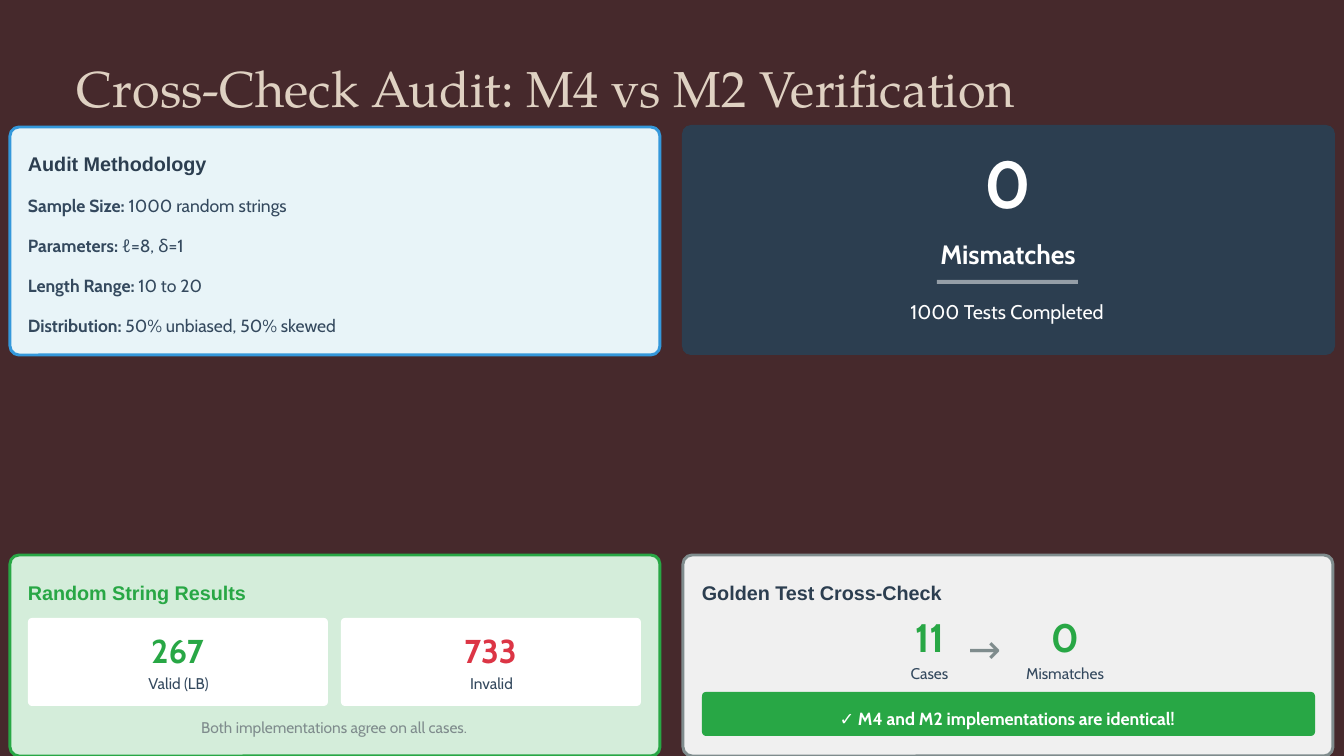
from pptx import Presentation
from pptx.dml.color import RGBColor
from pptx.enum.shapes import MSO_SHAPE
from pptx.enum.text import MSO_ANCHOR, MSO_AUTO_SIZE, PP_ALIGN
from pptx.oxml import parse_xml
from pptx.oxml.ns import nsdecls
from pptx.util import Pt

PX = 914400 / 134.4

WINE = RGBColor(0x46, 0x29, 0x2C)
SAND = RGBColor(0xDF, 0xD1, 0xC2)
NAVY = RGBColor(0x2C, 0x3E, 0x50)
SLATE = RGBColor(0x34, 0x49, 0x5E)
BLUE = RGBColor(0x34, 0x98, 0xDB)
ICE = RGBColor(0xE8, 0xF4, 0xF8)
GREEN = RGBColor(0x28, 0xA7, 0x45)
MINT = RGBColor(0xD4, 0xED, 0xDA)
RED = RGBColor(0xDC, 0x35, 0x45)
GRAY = RGBColor(0x7F, 0x8C, 0x8D)
PALE = RGBColor(0xF0, 0xF0, 0xF0)
WHITE = RGBColor(0xFF, 0xFF, 0xFF)

SETUP = [
    ("Sample Size:", " 1000 random strings"),
    ("Parameters:", " ℓ=8, δ=1"),
    ("Length Range:", " 10 to 20"),
    ("Distribution:", " 50% unbiased, 50% skewed"),
]


def px(count):
    return round(count * PX)


def add_card(slide, box, fill, line=None, radius=9):
    """Add a panel with corners of the given radius; zero gives square ones."""
    kind = MSO_SHAPE.ROUNDED_RECTANGLE if radius else MSO_SHAPE.RECTANGLE
    card = slide.shapes.add_shape(kind, *map(px, box))
    if radius:
        card.adjustments[0] = radius / min(box[2:])
    card.shadow.inherit = False
    card.fill.solid()
    card.fill.fore_color.rgb = fill
    if line is None:
        card.line.fill.background()
    else:
        card.line.color.rgb = line
        card.line.width = Pt(1.58)
    return card


def style(run, size, color, bold=False, font="Cabin"):
    run.font.name = font
    run.font.size = Pt(size)
    run.font.bold = bold
    run.font.color.rgb = color


def set_inset(frame, top=0):
    frame.margin_left = frame.margin_right = frame.margin_bottom = 0
    frame.margin_top = px(top)
    frame.word_wrap = True


def add_label(slide, box, text, size, color, bold=False, space=1.3,
              align=PP_ALIGN.CENTER, font="Cabin"):
    """Add one line of text and return its paragraph."""
    frame = slide.shapes.add_textbox(*map(px, box)).text_frame
    set_inset(frame)
    frame.vertical_anchor = MSO_ANCHOR.MIDDLE
    para = frame.paragraphs[0]
    para.text = text
    para.alignment = align
    para.line_spacing = space
    style(para.runs[0], size, color, bold, font)
    return para


def add_head(slide, left, top, text, color):
    add_label(slide, (left, top, 621, 31), text, 10.6, color, True,
              align=PP_ALIGN.LEFT, font="Arial")


def add_title(slide, text):
    title = slide.shapes.title
    title.left, title.top, title.width, title.height = map(
        px, (77, 56, 1136, 63))
    frame = title.text_frame
    frame.text = text
    set_inset(frame, 13)
    frame.auto_size = MSO_AUTO_SIZE.NONE
    frame.vertical_anchor = MSO_ANCHOR.TOP
    para = frame.paragraphs[0]
    para.alignment = PP_ALIGN.LEFT
    para.line_spacing = 0.8
    style(para.runs[0], 27, SAND, font="TeX Gyre Pagella")


def add_method(slide):
    add_card(slide, (10, 127, 650, 228), ICE, BLUE)
    add_head(slide, 28, 145, "Audit Methodology", NAVY)
    for row, (name, value) in enumerate(SETUP):
        para = add_label(slide, (28, 189 + 40 * row, 621, 27), name, 9.4,
                         SLATE, True, align=PP_ALIGN.LEFT)
        run = para.add_run()
        run.text = value
        style(run, 9.4, SLATE)


def add_score(slide):
    add_card(slide, (682, 125, 653, 230), NAVY)
    add_label(slide, (969, 156, 77, 66), "0", 35.5, WHITE, True, 0.8)
    add_label(slide, (933, 235, 150, 35), "Mismatches", 14.2, WHITE, True,
              1.1)
    rule = add_card(slide, (937, 280, 141, 4), WHITE, radius=0)
    tint = rule.fill._xPr.find(".//{*}srgbClr")
    tint.append(parse_xml(f'<a:alpha {nsdecls("a")} val="50000"/>'))
    add_label(slide, (905, 293, 204, 31), "1000 Tests Completed", 10.6, WHITE)


def add_random(slide):
    add_card(slide, (10, 555, 650, 201), MINT, GREEN)
    add_head(slide, 28, 574, "Random String Results", GREEN)
    tiles = [("267", "Valid (LB)", GREEN), ("733", "Invalid", RED)]
    for col, (count, name, color) in enumerate(tiles):
        left = 28 + 313 * col
        add_card(slide, (left, 618, 300, 88), WHITE, radius=4)
        add_label(slide, (left + 5, 630, 289, 40), count, 17.7, color, True, 1)
        add_label(slide, (left + 10, 671, 281, 22), name, 8.3, SLATE,
                  space=1.2)
    add_label(slide, (24, 715, 620, 22),
              "Both implementations agree on all cases.", 8.3, GRAY, space=1.2)


def add_golden(slide):
    add_card(slide, (683, 555, 650, 201), PALE, GRAY)
    add_head(slide, 702, 574, "Golden Test Cross-Check", NAVY)
    for left, width, count, name in [(900, 59, "11", "Cases"),
                                     (1015, 100, "0", "Mismatches")]:
        add_label(slide, (left, 618, width, 44), count, 21.3, GREEN, True, 0.9)
        add_label(slide, (left + 5, 661, width - 10, 22), name, 8.3, SLATE,
                  space=1.2)
    add_label(slide, (968, 629, 59, 44), "→", 21.3, GRAY, space=0.9,
              align=PP_ALIGN.LEFT)
    add_card(slide, (702, 692, 613, 44), GREEN, radius=4)
    add_label(slide, (706, 702, 602, 27),
              "✓ M4 and M2 implementations are identical!", 9.4, WHITE, True)


def main():
    deck = Presentation()
    deck.slide_width, deck.slide_height = px(1344), px(756)
    slide = deck.slides.add_slide(deck.slide_layouts[5])
    slide.background.fill.solid()
    slide.background.fill.fore_color.rgb = WINE
    add_title(slide, "Cross-Check Audit: M4 vs M2 Verification")
    add_method(slide)
    add_score(slide)
    add_random(slide)
    add_golden(slide)
    deck.save("out.pptx")


if __name__ == "__main__":
    main()
